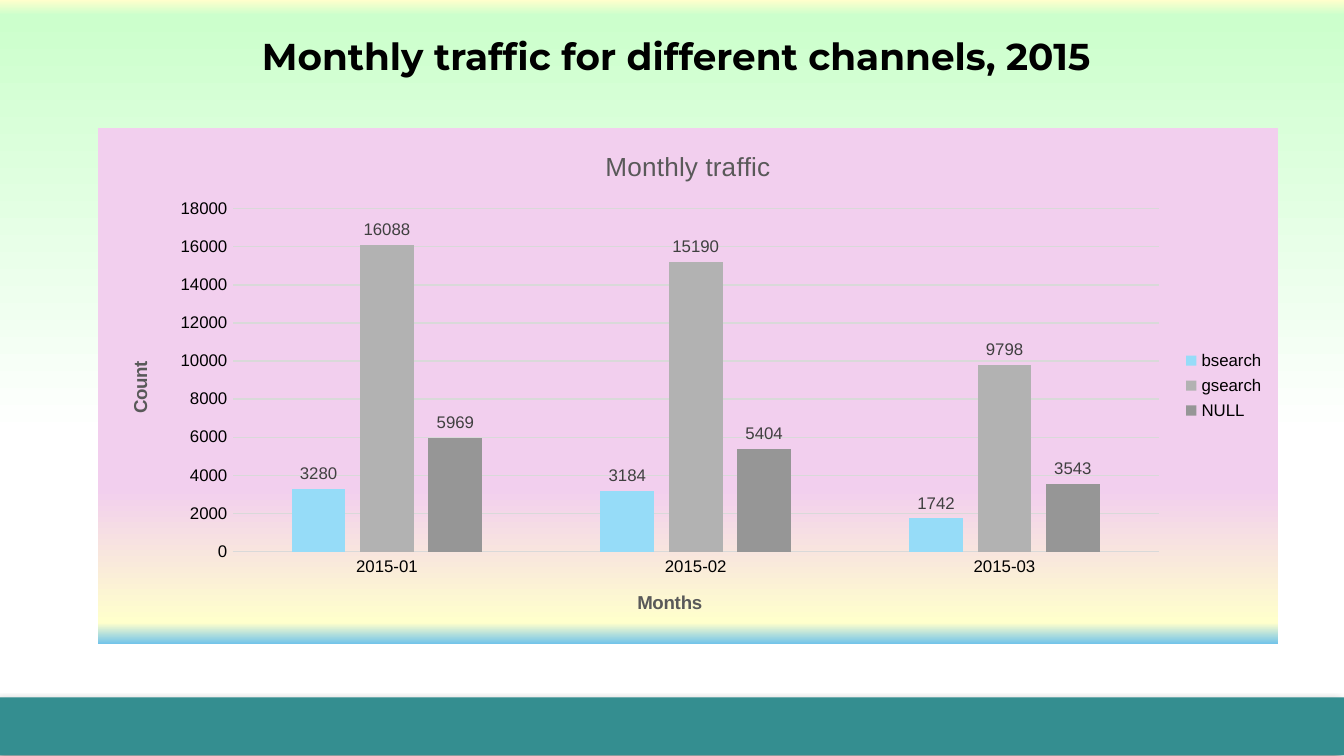
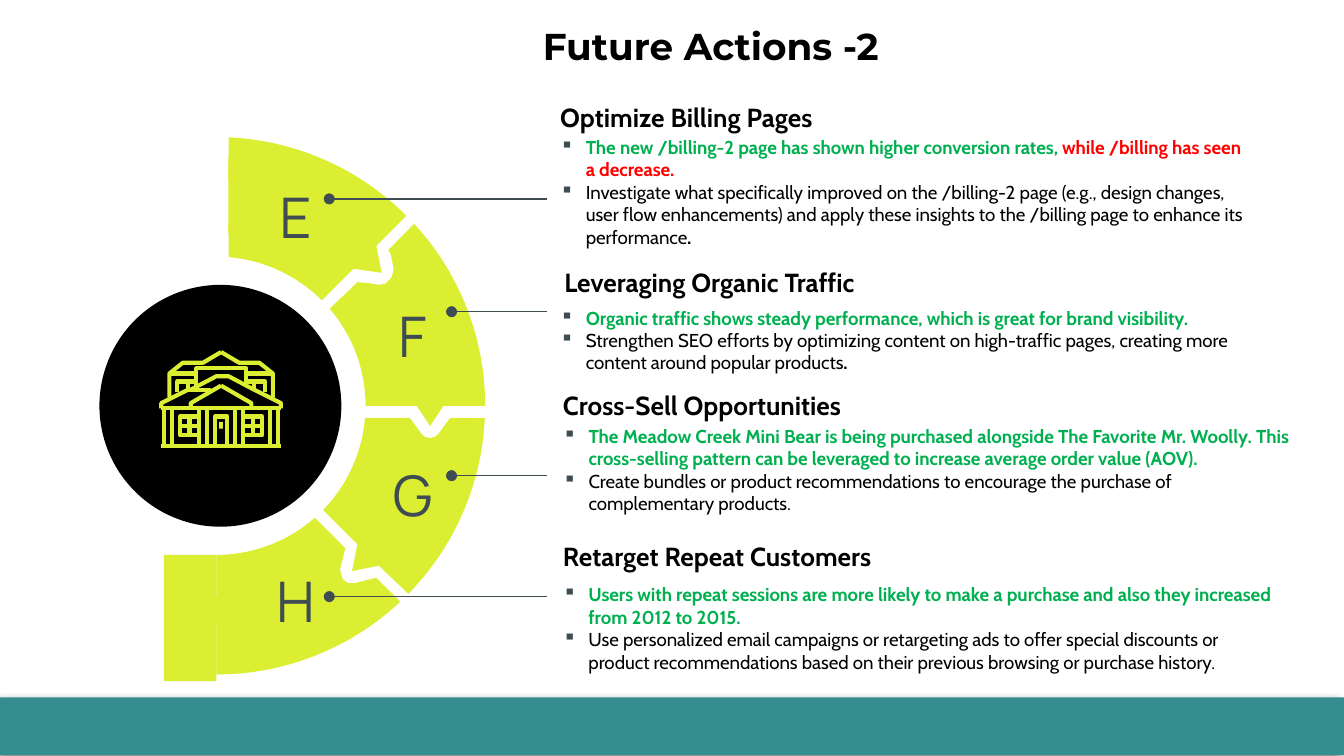
from math import cos, radians, sin

from lxml import etree
from pptx import Presentation
from pptx.chart.data import CategoryChartData
from pptx.dml.color import RGBColor
from pptx.enum.chart import XL_CHART_TYPE, XL_LABEL_POSITION, XL_LEGEND_POSITION, XL_TICK_MARK
from pptx.enum.shapes import MSO_CONNECTOR, MSO_SHAPE
from pptx.enum.text import MSO_ANCHOR, PP_ALIGN
from pptx.oxml import parse_xml
from pptx.oxml.ns import nsdecls, qn
from pptx.util import Cm, Pt

COLUMNS = XL_CHART_TYPE.COLUMN_CLUSTERED
OUTSIDE_END = XL_LABEL_POSITION.OUTSIDE_END
LEGEND_RIGHT = XL_LEGEND_POSITION.RIGHT
NO_TICK = XL_TICK_MARK.NONE
STRAIGHT = MSO_CONNECTOR.STRAIGHT
RECTANGLE, OVAL = MSO_SHAPE.RECTANGLE, MSO_SHAPE.OVAL
TOP, MIDDLE = MSO_ANCHOR.TOP, MSO_ANCHOR.MIDDLE
LEFT, CENTER = PP_ALIGN.LEFT, PP_ALIGN.CENTER

COLORS = {
    "teal": "348E90", "lime": "DCEE32", "slate": "3F4D53", "black": "000000",
    "white": "FFFFFF", "green": "00B050", "red": "FF0000", "grid": "D9D9D9",
    "label": "404040", "axis title": "595959", "bsearch": "96DCF8",
    "gsearch": "B2B2B2", "NULL": "969696", "ice": "CCECFF", "cream": "FFFFCC",
    "mint": "CCFFCC", "pink": "F2CFEE", "sky": "74C4E9", "pale sky": "A2D8F0",
}
PAGE_GRADIENT = [(0, "ice"), (0, "cream"), (2, "mint"), (58, "white"), (100, "white")]
CHART_GRADIENT = [(70, "pink"), (96, "cream"), (100, "sky"), (100, "pale sky")]

MONTHS = ["2015-01", "2015-02", "2015-03"]
TRAFFIC = {
    "bsearch": [3280, 3184, 1742],
    "gsearch": [16088, 15190, 9798],
    "NULL": [5969, 5404, 3543],
}

HUB = (1.61, 3.02)
OUTER, INNER = 2.0, 1.11
HOUSE_AXIS = 1.645

ACTIONS = [
    ("Optimize Billing Pages", (4.07, 0.62), (4.07, 0.91, 5.32), [
        [("The new /billing-2 page has shown higher conversion rates, ", "green", True),
         ("while /billing has seen a decrease.", "red", True)],
        [("Investigate what specifically improved on the /billing-2 page (e.g., design changes, "
          "user flow enhancements) and apply these insights to the /billing page to enhance "
          "its performance", "black", False), (".", "black", True)]]),
    ("Leveraging Organic Traffic", (4.1, 1.85), (4.07, 2.18, 5.19), [
        [("Organic traffic shows steady performance, which is great for brand visibility.",
          "green", True)],
        [("Strengthen SEO efforts by optimizing content on high-traffic pages, creating more "
          "content around popular products", "black", False), (".", "black", True)]]),
    ("Cross-Sell Opportunities", (4.09, 2.76), (4.09, 3.06, 5.61), [
        [("The Meadow Creek Mini Bear is being purchased alongside The Favorite Mr. Woolly. This "
          "cross-selling pattern can be leveraged to increase average order value (AOV).",
          "green", True)],
        [("Create bundles or product recommendations to encourage the purchase of "
          "complementary products.", "black", False)]]),
    ("Retarget Repeat Customers", (4.09, 3.89), (4.09, 4.24, 5.53), [
        [("Users with repeat sessions are more likely to make a purchase and also they "
          "increased from 2012 to 2015.", "green", True)],
        [("Use personalized email campaigns or retargeting ads to offer special discounts or "
          "product recommendations based on their previous browsing or purchase history.",
          "black", False)]]),
]
LETTERS = [("E", 1.67, 1.23), ("F", 2.54, 2.12), ("G", 2.54, 3.3), ("H", 1.67, 4.09)]
POINTERS = [(2.45, 1.48), (3.36, 2.32), (3.36, 3.54), (2.45, 4.44)]


def inches(value):
    return Cm(value * 2.54)


def color(name):
    return RGBColor.from_string(COLORS[name])


def style(font, name=None, size=None, tint=None, bold=None):
    if name:
        font.name = name
    if size:
        font.size = Pt(size)
    if tint:
        font.color.rgb = color(tint)
    if bold is not None:
        font.bold = bold


def gradient(stops):
    marks = "".join(f'<a:gs pos="{place * 1000}"><a:srgbClr val="{COLORS[name]}"/></a:gs>'
                    for place, name in stops)
    return parse_xml(f'<a:gradFill {nsdecls("a")} rotWithShape="1"><a:gsLst>{marks}</a:gsLst>'
                     '<a:lin ang="5400000" scaled="0"/></a:gradFill>')


def fill_shape(shape, tint):
    shape.shadow.inherit = False
    shape.fill.solid()
    shape.fill.fore_color.rgb = color(tint)
    shape.line.fill.background()


def add_block(page, kind, left, top, width, height, tint):
    block = page.shapes.add_shape(kind, *map(inches, (left, top, width, height)))
    fill_shape(block, tint)
    return block


def add_outline(page, contours, closed=True):
    scaled = [[(x * 1000, y * 1000) for x, y in contour] for contour in contours]
    builder = page.shapes.build_freeform(*scaled[0][0], scale=Cm(2.54) / 1000)
    for number, contour in enumerate(scaled):
        if number:
            builder.move_to(*contour[0])
        builder.add_line_segments(contour[1:], close=closed)
    return builder.convert_to_shape()


def add_box(page, left, top, width, height, inset=0.1, anchor=TOP):
    box = page.shapes.add_textbox(*map(inches, (left, top, width, height)))
    frame = box.text_frame
    frame.word_wrap = True
    frame.vertical_anchor = anchor
    frame.margin_top = frame.margin_bottom = inches(inset)
    frame.margin_left = frame.margin_right = inches(0.1)
    return frame


def add_label(page, text, place, font, inset=0.1, anchor=TOP, align=LEFT):
    paragraph = add_box(page, *place, inset, anchor).paragraphs[0]
    paragraph.alignment = align
    paragraph.add_run().text = text
    style(paragraph.font, *font)
    return paragraph


def add_bullets(page, place, items):
    frame = add_box(page, *place, 0.59)
    for number, spans in enumerate(items):
        paragraph = frame.add_paragraph() if number else frame.paragraphs[0]
        properties = paragraph._p.get_or_add_pPr()
        properties.set("marL", str(inches(0.19)))
        properties.set("indent", str(-inches(0.19)))
        tint = etree.SubElement(properties, qn("a:buClr"))
        etree.SubElement(tint, qn("a:srgbClr"), val=COLORS["slate"])
        etree.SubElement(properties, qn("a:buChar"), char="▪")
        style(paragraph.font, "Cabin", 10)
        for text, name, bold in spans:
            span = paragraph.add_run()
            span.text = text
            style(span.font if len(spans) > 1 else paragraph.font, tint=name, bold=bold)


def add_pointer(page, left, top):
    line = page.shapes.add_connector(STRAIGHT, *map(inches, (4.07, top, left, top)))
    line.line.color.rgb = color("slate")
    line.line.width = Pt(0.75)
    properties = line.element.spPr
    etree.SubElement(properties.find(qn("a:ln")), qn("a:tailEnd"), type="oval")
    etree.SubElement(properties, qn("a:effectLst"))


def add_page(deck, title, place):
    page = deck.slides.add_slide(deck.slide_layouts[6])
    page.background.fill.solid()
    page.background.fill.fore_color.rgb = color("white")
    band = add_block(page, RECTANGLE, 0, 5.19, 10, 0.43, "teal")
    effects = band.element.spPr.find(qn("a:effectLst"))
    effects.append(parse_xml(
        f'<a:outerShdw {nsdecls("a")} blurRad="{Pt(4)}" dist="{Pt(3)}" dir="8100000" '
        f'algn="tr" rotWithShape="0"><a:srgbClr val="{COLORS["black"]}">'
        '<a:alpha val="40000"/></a:srgbClr></a:outerShdw>'))
    add_label(page, title, place, ("Montserrat", 20, "black", True), inset=0.05)
    return page


def set_title(owner, text, size, bold):
    paragraph = owner.text_frame.paragraphs[0]
    paragraph.add_run().text = text
    style(paragraph.font, "Arial", size, "axis title", bold)


def add_traffic_chart(page):
    data = CategoryChartData()
    data.categories = MONTHS
    for name, values in TRAFFIC.items():
        data.add_series(name, values)
    place = map(inches, (0.73, 0.95, 8.78, 3.84))
    chart = page.shapes.add_chart(COLUMNS, *place, data).chart
    style(chart.font, "Arial", 10, "black")
    set_title(chart.chart_title, "Monthly traffic", 14, False)
    chart.has_legend = True
    chart.legend.position = LEGEND_RIGHT
    chart.legend.include_in_layout = False
    style(chart.legend.font, "Arial", 9, "black")
    for axis, title in ((chart.category_axis, "Months"), (chart.value_axis, "Count")):
        set_title(axis.axis_title, title, 10, True)
        axis.major_tick_mark = axis.minor_tick_mark = NO_TICK
        style(axis.tick_labels.font, "Arial", 9, "black")
    chart.value_axis.has_major_gridlines = True
    chart.value_axis.format.line.fill.background()
    for owner in (chart.category_axis, chart.value_axis.major_gridlines):
        owner.format.line.color.rgb = color("grid")
        owner.format.line.width = Pt(0.75)
    plot = chart.plots[0]
    plot.gap_width, plot.overlap, plot.vary_by_categories = 219, -27, False
    for series in plot.series:
        series.format.fill.solid()
        series.format.fill.fore_color.rgb = color(series.name)
        labels = series.data_labels
        labels.show_value = True
        labels.position = OUTSIDE_END
        style(labels.font, "Arial", 9, "label")
    paint_chart(chart)


def paint_chart(chart):
    space = chart.element
    area = parse_xml(f'<c:spPr {nsdecls("c", "a")}><a:ln><a:noFill/></a:ln></c:spPr>')
    area.insert(0, gradient(CHART_GRADIENT))
    space.find(qn("c:txPr")).addprevious(area)
    plot_area = space.find(".//" + qn("c:plotArea"))
    for old in plot_area.findall(qn("c:layout")):
        plot_area.remove(old)
    sizes = "".join(f'<c:{key} val="{value}"/>' for key, value in (
        ("layoutTarget", "inner"), ("xMode", "edge"), ("yMode", "edge"),
        ("x", 0.114), ("y", 0.157), ("w", 0.785), ("h", 0.665)))
    plot_area.insert(0, parse_xml(f'<c:layout {nsdecls("c")}><c:manualLayout>{sizes}'
                                  '</c:manualLayout></c:layout>'))


def arc(radius, start, end, steps=30):
    angles = [radians(start + (end - start) * step / steps) for step in range(steps + 1)]
    return [(HUB[0] + radius * cos(angle), HUB[1] + radius * sin(angle)) for angle in angles]


def add_wheel(page):
    segments = [
        arc(OUTER, -87.4, -45) + [(2.8, 1.83), (2.84, 2.03), (2.63, 2)]
        + arc(INNER, -45, -85.3)
        + [(1.7, 1.67), (1.84, 1.58), (1.89, 1.5), (1.84, 1.43), (1.7, 1.34)],
        arc(OUTER, -42.6, 0) + [(3.3, 3.02), (3.2, 3.17), (3.1, 3.02)]
        + arc(INNER, 0, -40.6)
        + [(2.66, 2.1), (2.76, 2.11), (2.82, 2.12), (2.87, 2.11), (2.91, 2.07),
           (2.93, 2.01), (2.91, 1.9), (2.89, 1.86)],
        arc(INNER, 4.6, 44.3) + [(2.66, 4.05), (2.62, 4.25), (2.82, 4.21)]
        + arc(OUTER, 44.4, 2.6)
        + [(3.35, 3.11), (3.27, 3.22), (3.24, 3.25), (3.2, 3.26), (3.16, 3.25),
           (3.13, 3.22), (3.05, 3.11)],
        arc(INNER, 48.6, 90) + [(1.61, 4.44), (1.43, 4.55), (1.61, 4.66)]
        + arc(OUTER, 90, 46.8)
        + [(2.8, 4.3), (2.64, 4.34), (2.59, 4.34), (2.55, 4.31), (2.53, 4.24), (2.57, 4.08)],
    ]
    for segment in segments:
        fill_shape(add_outline(page, [segment]), "lime")
    add_block(page, RECTANGLE, 1.22, 4.13, 0.39, 0.94, "lime")
    add_block(page, RECTANGLE, 1.7, 1.17, 0.39, 0.57, "lime")
    add_block(page, OVAL, 0.74, 2.12, 1.8, 1.8, "black")


def add_house(page):
    half = [[(x, 3.04), (x, 3.32)] for x in (1.22, 1.28, 1.48, 1.54)]
    half += [
        [(1.34, 3.1), (1.48, 3.1), (1.48, 3.24), (1.34, 3.24), (1.34, 3.1)],
        [(1.41, 3.1), (1.41, 3.24)],
        [(1.34, 3.17), (1.48, 3.17)],
        [(1.42, 3.04), (1.42, 3), (HOUSE_AXIS, 2.87)],
        [(1.2, 3.04), (1.2, 3), (1.4, 2.9)],
        [(1.26, 2.96), (1.26, 2.78), (1.36, 2.7), (1.51, 2.7), (HOUSE_AXIS, 2.62)],
        [(1.26, 2.78), (1.46, 2.78)],
        [(HOUSE_AXIS, 2.74), (1.46, 2.74), (1.46, 2.88)],
        [(1.32, 2.92), (1.32, 2.84), (1.46, 2.84)],
        [(1.4, 2.84), (1.4, 2.9)],
    ]
    mirrored = [[(2 * HOUSE_AXIS - x, y) for x, y in contour] for contour in half]
    middle = [
        [(1.2, 3.04), (2.09, 3.04)],
        [(1.2, 3.32), (2.09, 3.32)],
        [(1.6, 3.32), (1.6, 3.1), (1.69, 3.1), (1.69, 3.32)],
        [(1.4, 2.9), (1.57, 2.9)],
        [(1.42, 2.9), (1.61, 2.8), (1.7, 2.8), (1.89, 2.9)],
    ]
    house = add_outline(page, half + mirrored + middle, closed=False)
    house.shadow.inherit = False
    house.fill.background()
    house.line.color.rgb = color("lime")
    house.line.width = Pt(2.2)
    add_block(page, RECTANGLE, 1.63, 3.14, 0.03, 0.05, "lime")


def add_traffic_page(deck):
    page = add_page(deck, "Monthly traffic for different channels, 2015", (1.85, 0.2, 7.91, 0.44))
    backdrop = page.element.find(".//" + qn("p:bgPr"))
    backdrop.replace(backdrop.find(qn("a:solidFill")), gradient(PAGE_GRADIENT))
    add_traffic_chart(page)


def add_actions_page(deck):
    page = add_page(deck, "Future Actions -2", (3.94, 0.12, 4.29, 0.44))
    add_wheel(page)
    add_house(page)
    for letter, left, top in LETTERS:
        add_label(page, letter, (left, top, 1.06, 0.75), ("Manrope", 30, "slate"),
                  anchor=MIDDLE, align=CENTER)
    for heading, place, bullet_place, items in ACTIONS:
        paragraph = add_label(page, heading, (*place, 5.19, 0.47), ("Cabin", 14, "black", True))
        paragraph.line_spacing = 1.15
        paragraph.space_after = Pt(16)
        add_bullets(page, bullet_place, items)
    for left, top in POINTERS:
        add_pointer(page, left, top)


def main():
    deck = Presentation()
    deck.slide_width, deck.slide_height = Cm(25.4), Cm(14.29)
    add_traffic_page(deck)
    add_actions_page(deck)
    deck.save("out.pptx")


if __name__ == "__main__":
    main()
